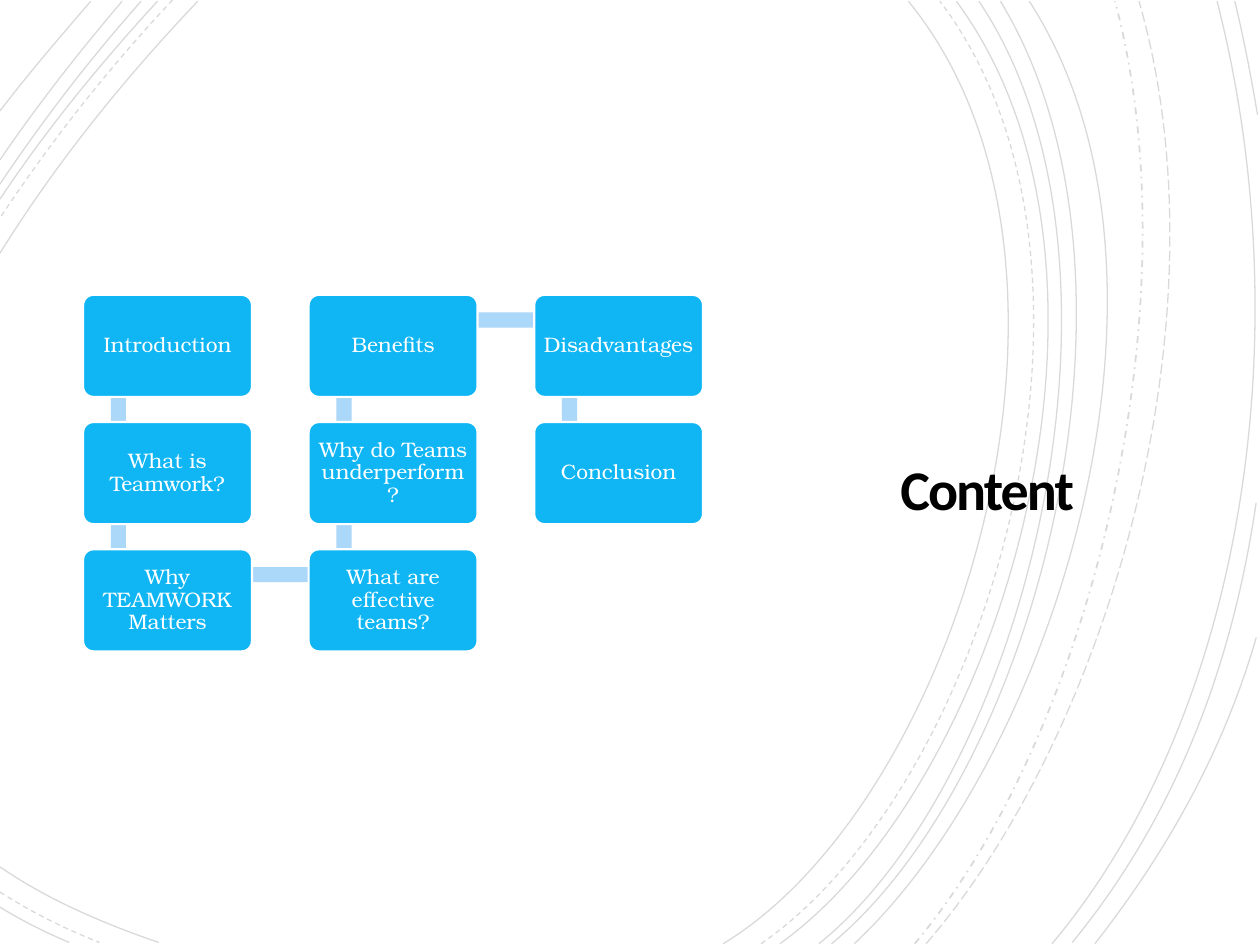
import pptx
import pptx.util
import pptx.dml.color
import pptx.enum.dml
import pptx.enum.shapes
import pptx.enum.text
import pptx.oxml.ns
from lxml import etree

Inches, Pt = pptx.util.Inches, pptx.util.Pt
RGB = pptx.dml.color.RGBColor.from_string
KIND = pptx.enum.shapes.MSO_SHAPE
DASH = pptx.enum.dml.MSO_LINE
qn = pptx.oxml.ns.qn

COLORS = {"box": "10B6F4", "bar": "ABD7F8", "white": "FFFFFF", "black": "000000"}
TITLE = "Content"
STEPS = [
    "Introduction", "What is Teamwork?", "Why TEAMWORK Matters",
    "What are effective teams?", "Why do Teams underperform?", "Benefits",
    "Disadvantages", "Conclusion",
]

# Each curve: start, two control points, end
CURVES = {
    "solid": [
        [(5.74, 7.49), (7.62, 6.35), (8.91, 2.09), (7.21, 0.01)],
        [(0, 6.88), (0.39, 7.15), (0.85, 7.34), (1.26, 7.48)],
        [(1.57, 0.01), (1.01, 0.6), (0.46, 1.27), (0, 2.01)],
        [(6.19, 7.49), (7.96, 6.22), (9.16, 2.13), (7.59, 0.01)],
        [(0, 7.2), (0.18, 7.31), (0.36, 7.4), (0.55, 7.48)],
        [(1.25, 0.01), (0.81, 0.49), (0.38, 1.01), (0, 1.58)],
        [(6.5, 7.49), (8.15, 6.16), (9.16, 2.08), (7.77, 0.01)],
        [(1.12, 0.01), (0.72, 0.46), (0.35, 0.94), (0, 1.46)],
        [(6.6, 7.49), (8.25, 6.12), (9.25, 2.16), (7.94, 0.01)],
        [(0.97, 0.01), (0.63, 0.41), (0.3, 0.83), (0, 1.27)],
        [(6.78, 7.49), (8.35, 6.03), (9.58, 2.2), (8.17, 0.01)],
        [(0.72, 0.01), (0.48, 0.29), (0.23, 0.58), (0, 0.88)],
        [(8.35, 7.49), (9.9, 5.64), (10.32, 2.59), (9.66, 0.01)],
        [(8.51, 7.48), (9.29, 6.53), (9.77, 5.36), (9.97, 3.99)],
        [(9.98, 0.91), (9.93, 0.61), (9.87, 0.3), (9.8, 0.01)],
        [(8.69, 7.49), (9.23, 6.8), (9.7, 6), (9.97, 5.06)],
    ],
    "dash": [
        [(6.04, 7.49), (7.84, 6.25), (9.06, 2.12), (7.46, 0.01)],
        [(0, 7.08), (0.25, 7.24), (0.53, 7.38), (0.79, 7.48)],
        [(1.37, 0), (0.88, 0.52), (0.42, 1.1), (0, 1.73)],
    ],
    "dot": [[(7.26, 7.49), (8.66, 5.83), (9.49, 2.41), (8.85, 0.01)]],
    "long": [[(7.35, 7.49), (8.8, 5.81), (9.76, 2.51), (9.04, 0.01)]],
}
STYLES = {
    "solid": (DASH.SOLID, 0.75), "dash": (DASH.DASH, 0.75),
    "dot": (DASH.DASH_DOT, 1), "long": (DASH.LONG_DASH, 0.75),
}
ALPHA = 15

LEFT, TOP = 0.66, 2.34
WIDE, HIGH = 1.34, 0.81
STEP_X, STEP_Y = 1.79, 1.01
ROWS = 3
BAR, BAR_X, BAR_Y = 0.12, 0.28, 0.2


def add_curve(shapes, points, dash, width):
    """Draw one cubic curve as a faint open outline."""
    spots = [(Inches(x), Inches(y)) for x, y in points]
    build = shapes.build_freeform(*spots[0])
    build.add_line_segments(spots[1:], close=False)
    curve = build.convert_to_shape()
    route = next(curve._element.iter(qn("a:path")))
    bend = etree.SubElement(route, qn("a:cubicBezTo"))
    for part in route.findall(qn("a:lnTo")):
        bend.append(part[0])
        route.remove(part)
    curve.shadow.inherit = False
    curve.fill.background()
    line = curve.line
    line.color.rgb = RGB(COLORS["black"])
    line.width, line.dash_style = Pt(width), dash
    tint = next(line._ln.iter(qn("a:srgbClr")))
    etree.SubElement(tint, qn("a:alpha"), val=str(ALPHA * 1000))


def add_block(shapes, kind, spot, size, color):
    block = shapes.add_shape(kind, *map(Inches, spot + size))
    block.shadow.inherit = False
    block.fill.solid()
    block.fill.fore_color.rgb = RGB(COLORS[color])
    block.line.fill.background()
    return block


def set_text(shape, text, inset, font, size, color, spacing):
    frame = shape.text_frame
    frame.text = text
    frame.word_wrap = True
    frame.vertical_anchor = pptx.enum.text.MSO_ANCHOR.MIDDLE
    frame.margin_left = frame.margin_right = Inches(inset)
    frame.margin_top = frame.margin_bottom = Inches(inset)
    para = frame.paragraphs[0]
    para.alignment = pptx.enum.text.PP_ALIGN.CENTER
    para.line_spacing = spacing
    run = para.runs[0]
    run.font.name, run.font.size = font, Pt(size)
    run.font.color.rgb = RGB(COLORS[color])
    return run


def place(index):
    """Top left of a box; the steps snake down and up the columns."""
    col, row = divmod(index, ROWS)
    if col % 2:
        row = ROWS - 1 - row
    return LEFT + col * STEP_X, TOP + row * STEP_Y


def add_bar(shapes, start, end):
    """Join two neighbouring boxes with a bar that runs behind them."""
    x, y = (min(pair) for pair in zip(start, end))
    if start[0] == end[0]:
        spot, size = (x + BAR_X - BAR / 2, y + BAR_Y), (BAR, STEP_Y)
    else:
        spot, size = (x + BAR_X, y + BAR_Y - BAR / 2), (STEP_X, BAR)
    add_block(shapes, KIND.RECTANGLE, spot, size, "bar")


def main():
    deck = pptx.Presentation()
    deck.slide_width, deck.slide_height = Inches(10), Inches(7.5)
    shapes = deck.slides.add_slide(deck.slide_layouts[6]).shapes

    for style, curves in CURVES.items():
        for points in curves:
            add_curve(shapes, points, *STYLES[style])

    title = shapes.add_textbox(*map(Inches, (6.4, 2.57, 2.87, 2.69)))
    run = set_text(title, TITLE, 0.25, "Calibri", 32, "black", 0.85)
    run.font.bold = True
    run._r.get_or_add_rPr().set("spc", "-110")

    spots = [place(i) for i in range(len(STEPS))]
    for start, end in zip(spots, spots[1:]):
        add_bar(shapes, start, end)
    for spot, text in zip(spots, STEPS):
        box = add_block(shapes, KIND.ROUNDED_RECTANGLE, spot, (WIDE, HIGH), "box")
        box.adjustments[0] = 0.1
        box.line.color.rgb = RGB(COLORS["white"])
        box.line.width = Pt(1.25)
        set_text(box, text, 0.05, "TeX Gyre Bonum", 12, "white", 0.9)

    deck.save("out.pptx")


if __name__ == "__main__":
    main()
